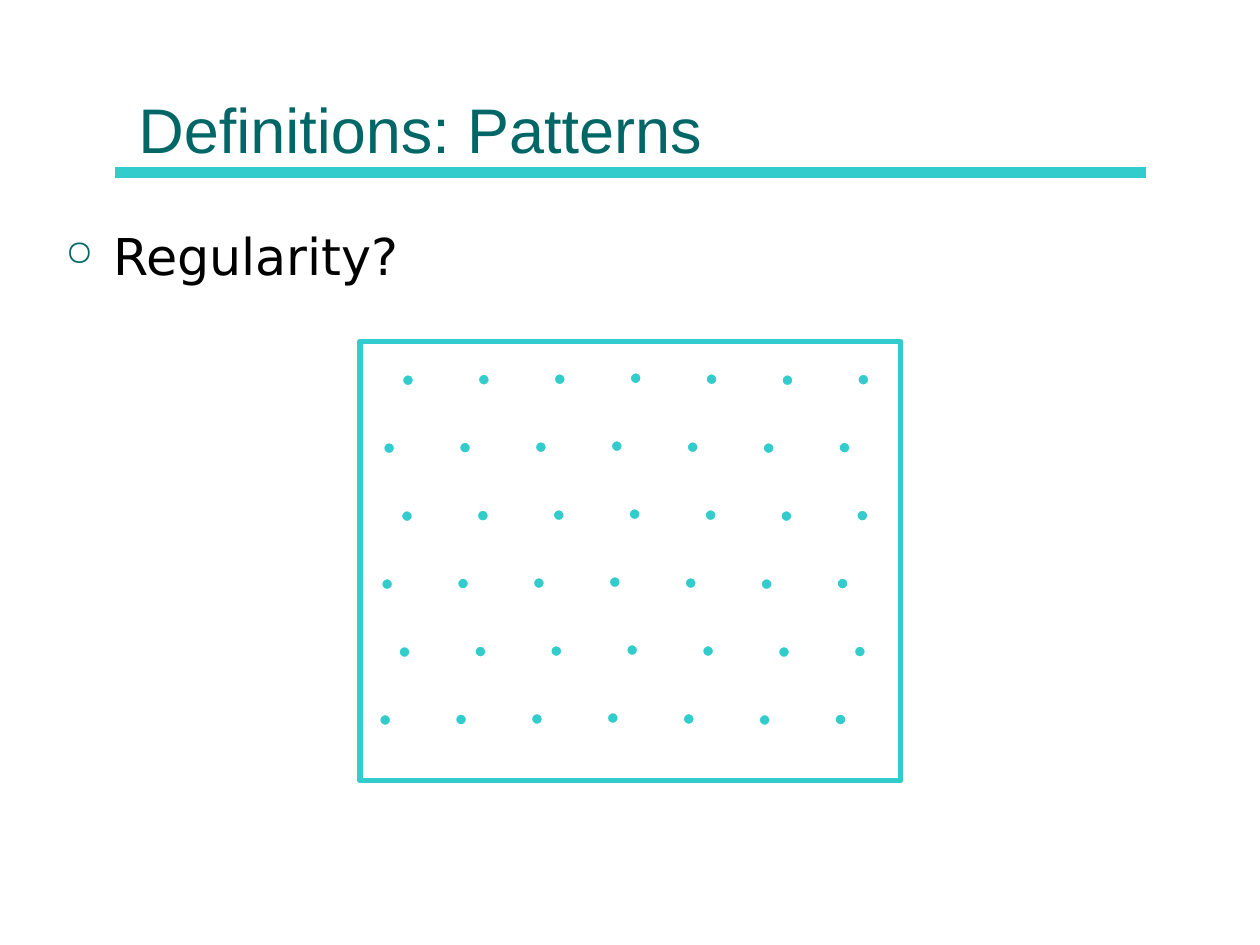
from lxml.etree import SubElement
from pptx import Presentation
from pptx.dml.color import RGBColor
from pptx.enum.shapes import MSO_CONNECTOR, MSO_SHAPE
from pptx.enum.text import MSO_ANCHOR
from pptx.oxml.ns import qn
from pptx.util import Cm, Pt

COLORS = {"teal": "006666", "aqua": "33CCCC", "black": "000000", "white": "FFFFFF"}


def rgb(name):
    return RGBColor.from_string(COLORS[name])


def write(tf, text, font="Arial", size=18, color="black", bullet=None):
    p = tf.paragraphs[0]
    if bullet:
        pPr = p._p.get_or_add_pPr()
        pPr.set("marL", str(Cm(0.96)))
        pPr.set("indent", str(Cm(-0.96)))
        clr = SubElement(pPr, qn("a:buClr"))
        SubElement(clr, qn("a:srgbClr"), val=COLORS["teal"])
        SubElement(pPr, qn("a:buSzPct"), val="70000")
        SubElement(pPr, qn("a:buChar"), char=bullet)
    r = p.add_run()
    r.text = text
    r.font.name = font
    r.font.size = Pt(size)
    r.font.color.rgb = rgb(color)


class Deck:
    def __init__(self, prs):
        self.s = prs.slides.add_slide(prs.slide_layouts[6])

    def text(self, x, y, w, h, text, anchor=MSO_ANCHOR.TOP, inset=0.13, **fmt):
        tf = self.s.shapes.add_textbox(Cm(x), Cm(y), Cm(w), Cm(h)).text_frame
        tf.word_wrap = True
        tf.vertical_anchor = anchor
        tf.margin_top = Cm(inset)
        write(tf, text, **fmt)

    def shape(self, kind, x, y, w, h, line, width, fill=None):
        sp = self.s.shapes.add_shape(kind, Cm(x), Cm(y), Cm(w), Cm(h))
        sp.shadow.inherit = False
        if fill:
            sp.fill.solid()
            sp.fill.fore_color.rgb = rgb(fill)
        else:
            sp.fill.background()
        sp.line.color.rgb = rgb(line)
        sp.line.width = Pt(width)

    def rule(self, x1, x2, y, color, width):
        c = self.s.shapes.add_connector(
            MSO_CONNECTOR.STRAIGHT, Cm(x1), Cm(y), Cm(x2), Cm(y))
        c.line.color.rgb = rgb(color)
        c.line.width = Pt(width)
        SubElement(c._element.spPr, qn("a:effectLst"))


def main():
    prs = Presentation()
    prs.slide_width, prs.slide_height = Cm(25.4), Cm(19.05)
    deck = Deck(prs)

    # Title and body
    deck.rule(2.31, 23.11, 3.48, "aqua", 6)
    deck.text(1.07, 4.34, 23.19, 11.43, "Regularity?", inset=0.2,
              font="DejaVu Sans", size=29, bullet="○")
    deck.text(2.54, 0.3, 20.32, 3.18, "Definitions: Patterns",
              anchor=MSO_ANCHOR.BOTTOM, size=36, color="teal")

    # Frame with staggered rows of dots
    deck.shape(MSO_SHAPE.RECTANGLE, 7.26, 6.88, 10.9, 8.86, "aqua", 3)
    row_lefts = [8.1, 7.72, 8.08, 7.68, 8.03, 7.64]
    col_lifts = [0, 0.01, 0.02, 0.04, 0.02, 0, 0.01]
    for row, left in enumerate(row_lefts):
        for col, lift in enumerate(col_lifts):
            deck.shape(MSO_SHAPE.OVAL, left + 1.53 * col, 7.54 + 1.37 * row - lift,
                       0.25, 0.25, "white", 1.5, fill="aqua")

    prs.save("out.pptx")


if __name__ == "__main__":
    main()
